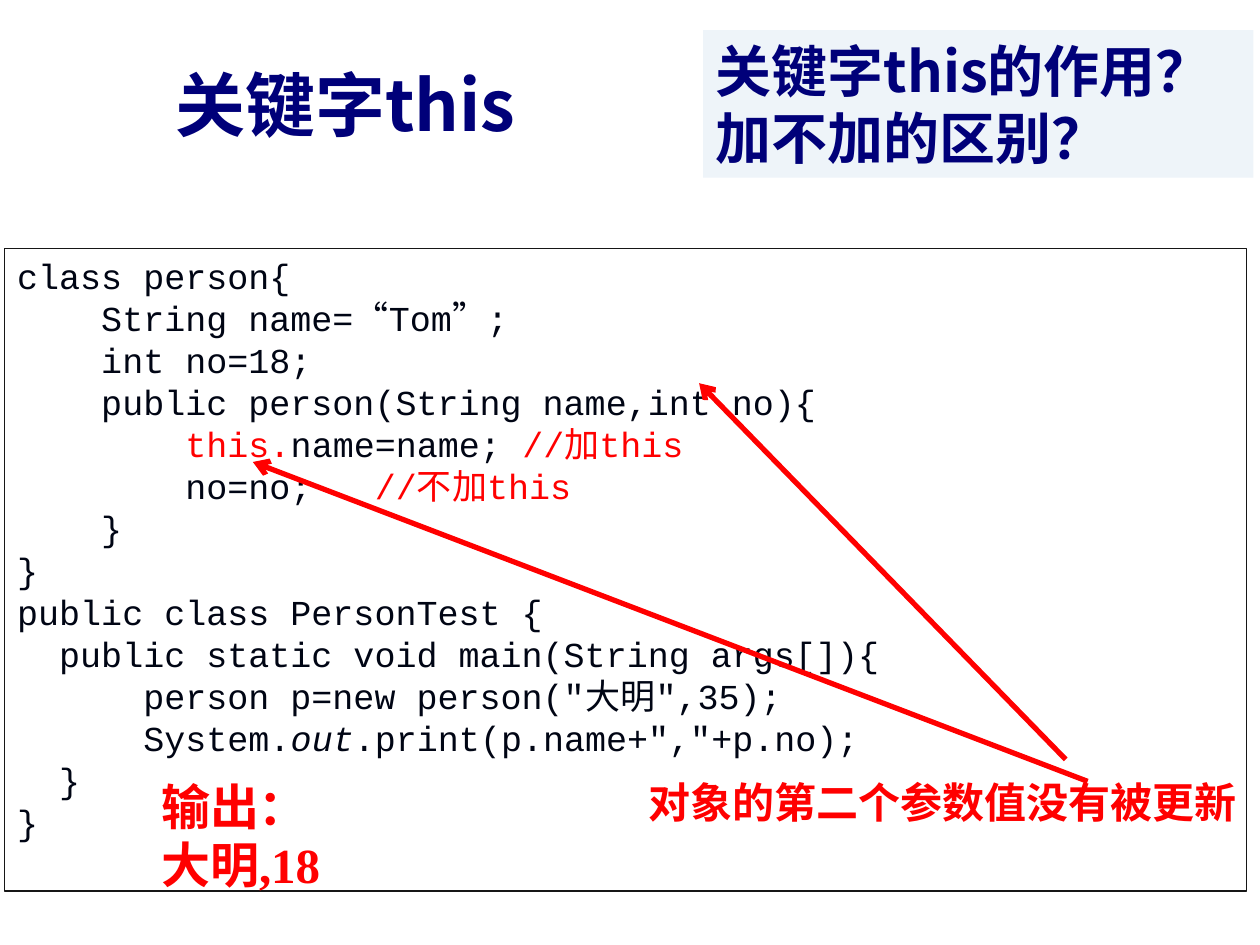
import pptx
import pptx.util
import pptx.dml.color
import pptx.enum.shapes
import pptx.enum.text
import pptx.oxml
import pptx.oxml.ns

Pt = pptx.util.Pt
RGBColor = pptx.dml.color.RGBColor

NAVY = RGBColor(0x00, 0x00, 0x79)
PALE = RGBColor(0xEE, 0xF4, 0xF9)
INK = RGBColor(0x00, 0x05, 0x14)
FRAME = RGBColor(0x16, 0x16, 0x16)
RED = RGBColor(0xFF, 0x00, 0x00)

SANS = "Noto Sans CJK SC"
SERIF = "Times New Roman"
CODE = "Courier New"
MONO = "DejaVu Sans Mono"

TITLE = "关键字this"
QUESTIONS = ["关键字this的作用？", "加不加的区别？"]
OUTPUT = ["输出：", "大明,18"]
NOTE = "对象的第二个参数值没有被更新"
MARKED = {"color": RED}
SOURCE = [
    [
        ("class person{\n    String name=“Tom”;\n    int no=18;\n"
         "    public person(String name,int no){\n", {}),
        ("        this.", MARKED),
        ("name=name; ", {}),
        ("//加this\n", MARKED),
        ("        no=no;   ", {}),
        ("//不加this\n", MARKED),
        ("    }", {}),
    ],
    [("}", {})],
    [
        ("public class PersonTest {\n"
         "  public static void main(String args[]){\n"
         "      person p=new person(\"", {}),
        ("大明", {"font": MONO}),
        ("\",35);\n      System.", {}),
        ("out", {"italic": True}),
        (".print(p.name+\",\"+p.no);\n  }\n}", {}),
    ],
]
ARROWS = [((609, 434), (399.5, 219)), ((621.5, 446.5), (144.5, 264))]


def add_span(para, text, font, size, color, bold=False, italic=False):
    for index, line in enumerate(text.split("\n")):
        if index:
            para.add_line_break()
        if not line:
            continue
        span = para.add_run()
        span.text = line
        span.font.name = font
        span.font.size = Pt(size)
        span.font.color.rgb = color
        span.font.bold = bold
        span.font.italic = italic
        east = pptx.oxml.parse_xml(
            f'<a:ea {pptx.oxml.ns.nsdecls("a")} typeface="{SANS}"/>')
        span.font._element.find(pptx.oxml.ns.qn("a:latin")).addnext(east)


def write(box, paragraphs, wrap=False, **style):
    frame = box.text_frame
    frame.auto_size = pptx.enum.text.MSO_AUTO_SIZE.NONE
    frame.word_wrap = wrap
    frame.vertical_anchor = pptx.enum.text.MSO_ANCHOR.TOP
    for index, spans in enumerate(paragraphs):
        para = frame.add_paragraph() if index else frame.paragraphs[0]
        para.alignment = pptx.enum.text.PP_ALIGN.LEFT
        if isinstance(spans, str):
            spans = [(spans, {})]
        for text, changes in spans:
            add_span(para, text, **{**style, **changes})


def place(box, left, top, width, height):
    box.left, box.top = Pt(left), Pt(top)
    box.width, box.height = Pt(width), Pt(height)


def add_panel(page, bounds, fill=None, line=None):
    panel = page.shapes.add_shape(
        pptx.enum.shapes.MSO_SHAPE.RECTANGLE, *map(Pt, bounds))
    panel.shadow.inherit = False
    if fill is None:
        panel.fill.background()
    else:
        panel.fill.solid()
        panel.fill.fore_color.rgb = fill
    if line is None:
        panel.line.fill.background()
    else:
        panel.line.color.rgb = line
        panel.line.width = Pt(0.75)
    return panel


def add_arrow(group, start, end):
    arrow = group.shapes.add_connector(
        pptx.enum.shapes.MSO_CONNECTOR.STRAIGHT, *map(Pt, start + end))
    arrow.line.color.rgb = RED
    arrow.line.width = Pt(3)
    names = pptx.oxml.ns.nsdecls("a")
    arrow.line._get_or_add_ln().append(
        pptx.oxml.parse_xml(f'<a:tailEnd {names} type="arrow"/>'))
    arrow._element.spPr.append(pptx.oxml.parse_xml(f"<a:effectLst {names}/>"))


def main():
    deck = pptx.Presentation()
    deck.slide_width, deck.slide_height = Pt(720), Pt(540)
    page = deck.slides.add_slide(deck.slide_layouts[5])

    title = page.shapes.title
    place(title, 93, 31.5, 219.5, 55.5)
    write(title, [TITLE], font=SANS, size=40, color=NAVY, bold=True)

    questions = add_panel(page, (401.75, 17.25, 314.5, 84.25), fill=PALE)
    write(questions, QUESTIONS, font=SANS, size=32, color=NAVY, bold=True)

    listing = add_panel(page, (2.75, 142, 709.5, 367.25), line=FRAME)
    write(listing, SOURCE, wrap=True, font=CODE, size=20, color=INK)

    output = page.shapes.add_textbox(*map(Pt, (85, 440, 111.5, 75)))
    write(output, OUTPUT, font=SERIF, size=28, color=RED, bold=True)

    callout = page.shapes.add_group_shape()
    note = callout.shapes.add_textbox(*map(Pt, (363.75, 440, 350, 36)))
    write(note, [NOTE], font=SERIF, size=24, color=RED, bold=True)
    for start, end in ARROWS:
        add_arrow(callout, start, end)

    deck.save("out.pptx")


if __name__ == "__main__":
    main()
